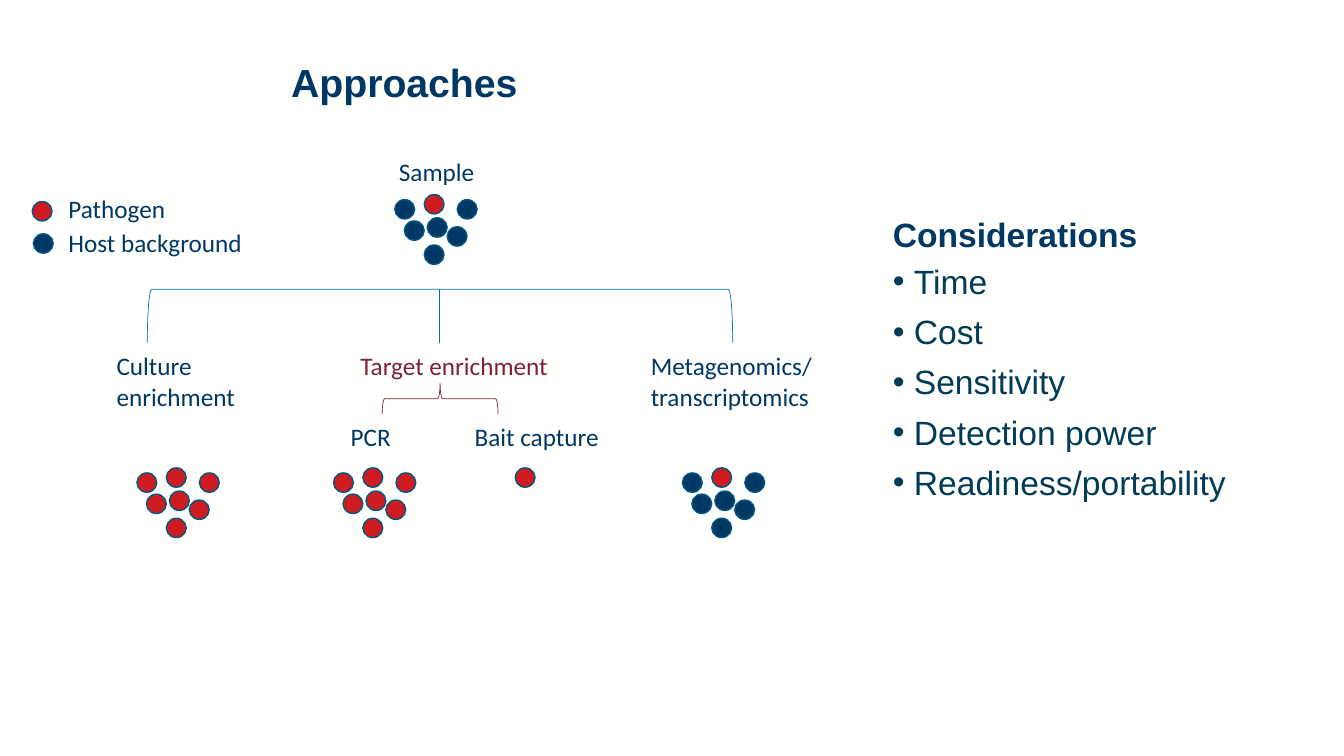
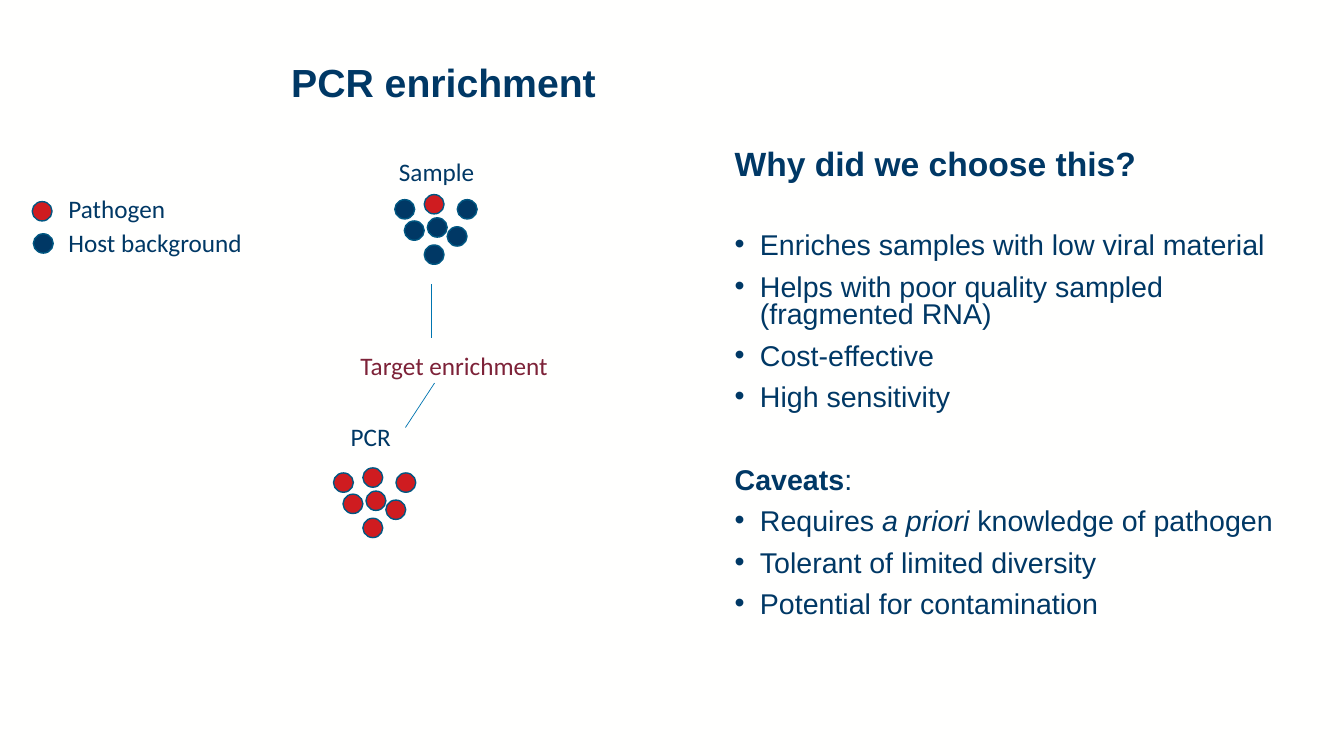
"""Build two slides on pathogen enrichment approaches."""
import lxml.etree
import pptx
import pptx.dml.color
import pptx.enum.shapes
import pptx.enum.text
import pptx.oxml.ns
import pptx.util

Pt = pptx.util.Pt
RGB = pptx.dml.color.RGBColor
SHAPE = pptx.enum.shapes.MSO_SHAPE

PAPER = RGB(0xFF, 0xFF, 0xFE)
NAVY = RGB(0x00, 0x38, 0x65)
TEAL = RGB(0x00, 0x3B, 0x58)
RED = RGB(0xCF, 0x1C, 0x20)
WINE = RGB(0x7D, 0x22, 0x38)
BLUE = RGB(0x00, 0x75, 0xB0)
RIM = RGB(0x00, 0x57, 0x82)

DOT_SIZE = (14.2, 13.8)
DOT_OFFSETS = [(0, 3.6), (21, 0), (44.6, 3.6), (6.8, 18.8), (23.2, 16.6), (37.4, 23), (21, 36)]
PATHOGEN_DOT = 1
ROW_TOP = 334.2

SHARED_LABELS = [
    ("Sample", (277.9, 108, 75), NAVY),
    ("Target enrichment", (250.4, 247, 166), WINE),
    ("PCR", (243.4, 297.4, 95), NAVY),
    ("Pathogen", (41.8, 134.6, 90), NAVY),
    ("Host background", (41.8, 158.6, 145), NAVY),
]
SHARED_CLUSTERS = [((282, 139), NAVY), ((238.2, ROW_TOP), RED)]
LEGEND_DOTS = [((23, 144), RED), ((23.8, 167), NAVY)]

SLIDES = [
    {
        "title": "Approaches",
        "heading": "Considerations",
        "heading_box": (630.6, 121, 408, 64.8),
        "body": ["Time", "Cost", "Sensitivity", "Detection power", "Readiness/portability"],
        "body_box": (630.6, 185.8, 408, 290),
        "body_format": {"size": 24, "color": TEAL, "spacing": 0.9, "bullet_indent": 15},
        "labels": [
            ("Culture enrichment", (76.2, 247, 101.6), NAVY),
            ("Bait capture", (332, 297.4, 117.4), NAVY),
            ("Metagenomics/transcriptomics", (457.8, 247, 130.4), NAVY),
        ],
        "clusters": [((97.8, ROW_TOP), RED), ((487.4, ROW_TOP), NAVY)],
        "dots": [((368, ROW_TOP), RED)],
        "brackets": [
            (SHAPE.LEFT_BRACKET, (295.2, 16.6, 38.2, 418.2), BLUE),
            (SHAPE.LEFT_BRACE, (303.2, 243.4, 22.3, 82.8), WINE),
        ],
        "lines": [(313.8, 206.6, 313.8, 244.8)],
    },
    {
        "title": "PCR enrichment",
        "heading": "Why did we choose this?",
        "heading_box": (517.6, 69.8, 408, 64.8),
        "body": [
            "Enriches samples with low viral material",
            "Helps with poor quality sampled (fragmented RNA)",
            "Cost-effective",
            "High sensitivity",
            {"text": [("Caveats", "bold"), (":", "")], "bullet_indent": 0, "before": 39.6},
            {"text": [("Requires ", ""), ("a priori ", "italic"), ("knowledge of pathogen", "")]},
            "Tolerant of limited diversity",
            "Potential for contamination",
        ],
        "body_box": (517.6, 163.4, 408, 283),
        "body_format": {"size": 20.4, "color": NAVY, "spacing": 0.8, "bullet_indent": 18},
        "labels": [],
        "clusters": [],
        "dots": [],
        "brackets": [],
        "lines": [(308.2, 203, 308.2, 241.2), (310.4, 273.6, 289.6, 305.4)],
    },
]


def points(values):
    return [Pt(value) for value in values]


def place(shape, box):
    shape.left, shape.top, shape.width, shape.height = points(box)


def add_xml(parent, tag, **attributes):
    return lxml.etree.SubElement(parent, pptx.oxml.ns.qn(tag), attributes)


def write(frame, text, size=18, font="Calibri", color=NAVY, bold=False,
          spacing=1.0, before=0, bullet_indent=0):
    para = frame.paragraphs[0]
    if para.runs:
        para = frame.add_paragraph()
    para.alignment = pptx.enum.text.PP_ALIGN.LEFT
    para.line_spacing = spacing
    para.space_before = Pt(before)
    properties = para._p.get_or_add_pPr()
    properties.set("marL", str(Pt(bullet_indent)))
    properties.set("indent", str(-Pt(bullet_indent)))
    if bullet_indent:
        add_xml(properties, "a:buFont", typeface="Arial")
        add_xml(properties, "a:buChar", char="•")
    else:
        add_xml(properties, "a:buNone")
    for words, style in [(text, "")] if isinstance(text, str) else text:
        span = para.add_run()
        span.text = words
        span.font.size = Pt(size)
        span.font.name = font
        span.font.color.rgb = color
        span.font.bold = bold or style == "bold"
        span.font.italic = style == "italic"


def add_label(page, text, position, color):
    box = page.shapes.add_textbox(*points((*position, 29)))
    box.text_frame.word_wrap = True
    write(box.text_frame, text, color=color)


def add_dot(shapes, position, color):
    dot = shapes.add_shape(SHAPE.OVAL, *points((*position, *DOT_SIZE)))
    dot.shadow.inherit = False
    dot.fill.solid()
    dot.fill.fore_color.rgb = color
    dot.line.color.rgb = RIM
    dot.line.width = Pt(1)


def add_cluster(page, position, color):
    group = page.shapes.add_group_shape()
    left, top = position
    for index, (across, down) in enumerate(DOT_OFFSETS):
        dot_color = RED if index == PATHOGEN_DOT else color
        add_dot(group.shapes, (left + across, top + down), dot_color)


def add_bracket(page, kind, box, color):
    bracket = page.shapes.add_shape(kind, *points(box))
    bracket.rotation = 90
    bracket.shadow.inherit = False
    bracket.fill.background()
    bracket.line.color.rgb = color
    bracket.line.width = Pt(0.5)


def add_line(page, ends):
    line = page.shapes.add_connector(pptx.enum.shapes.MSO_CONNECTOR.STRAIGHT, *points(ends))
    line.line.color.rgb = BLUE
    line.line.width = Pt(0.5)
    add_xml(line._element.spPr, "a:effectLst")


def prepare_layout(deck):
    background = deck.slide_master.background.fill
    background.solid()
    background.fore_color.rgb = PAPER
    layout = deck.slide_layouts.get_by_name("Comparison")
    anchors = pptx.enum.text.MSO_ANCHOR
    for holder in list(layout.placeholders):
        index = holder.placeholder_format.idx
        if index > 2:
            holder._element.getparent().remove(holder._element)
        else:
            holder.text_frame.vertical_anchor = anchors.BOTTOM if index == 1 else anchors.TOP
            holder.text_frame.auto_size = pptx.enum.text.MSO_AUTO_SIZE.NONE
    place(layout.placeholders[0], (200.8, 41.8, 725, 69.8))
    return layout


def add_page(deck, layout, content):
    page = deck.slides.add_slide(layout)
    title, heading, body = page.placeholders
    write(title.text_frame, content["title"], size=28, font="Arial", bold=True, spacing=0.9)
    place(heading, content["heading_box"])
    write(heading.text_frame, content["heading"], size=24, font="Arial", bold=True,
          spacing=0.9, before=10)
    place(body, content["body_box"])
    for item in content["body"]:
        changes = {"text": item} if isinstance(item, str) else item
        write(body.text_frame, **{"font": "Arial", "before": 10,
                                  **content["body_format"], **changes})
    for label in SHARED_LABELS + content["labels"]:
        add_label(page, *label)
    for cluster in SHARED_CLUSTERS + content["clusters"]:
        add_cluster(page, *cluster)
    for dot in LEGEND_DOTS + content["dots"]:
        add_dot(page.shapes, *dot)
    for bracket in content["brackets"]:
        add_bracket(page, *bracket)
    for ends in content["lines"]:
        add_line(page, ends)


def main():
    deck = pptx.Presentation()
    deck.slide_width, deck.slide_height = Pt(960), Pt(540)
    layout = prepare_layout(deck)
    for content in SLIDES:
        add_page(deck, layout, content)
    deck.save("out.pptx")


if __name__ == "__main__":
    main()
